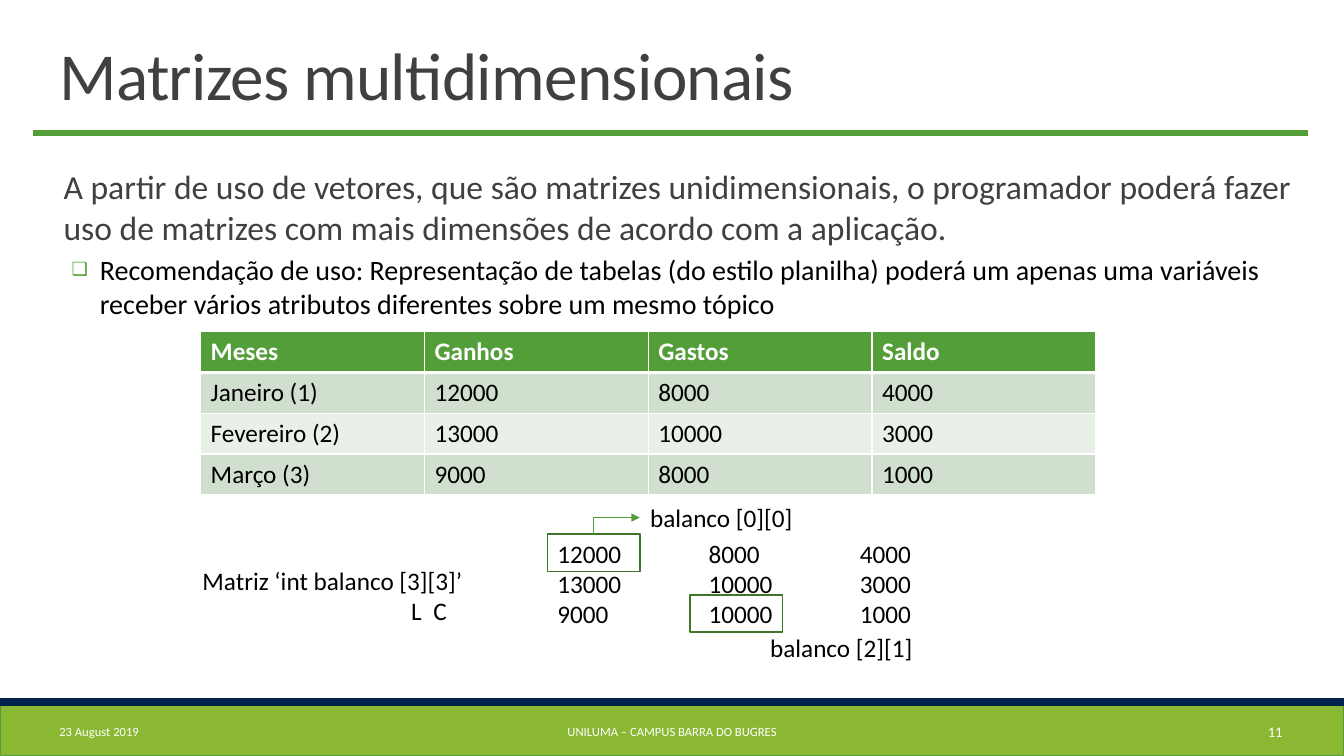
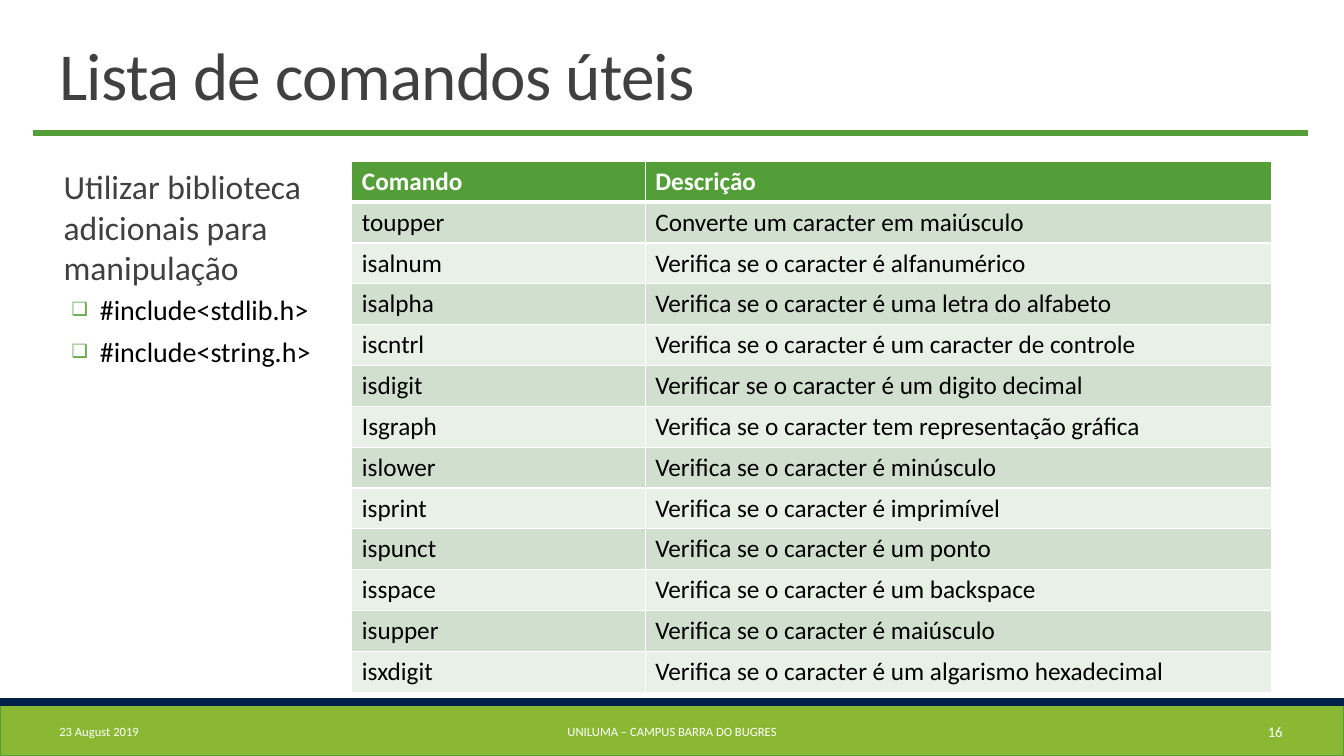
from dataclasses import dataclass
from typing import Any

from lxml import etree
from pptx import Presentation
from pptx import util as u
from pptx.dml import color
from pptx.enum import shapes, text
from pptx.oxml import ns

COLORS = {
    "green": "549E39", "dark_green": "3E752A", "lime": "8AB833", "navy": "00214A",
    "gray": "404040", "black": "000000", "white": "FFFFFF",
    "odd_row": "D1DFCE", "even_row": "E9F0E8",
}
FONT = "Calibri"
LEFT, MIDDLE, RIGHT = text.PP_ALIGN.LEFT, text.PP_ALIGN.CENTER, text.PP_ALIGN.RIGHT


@dataclass(frozen=True)
class Box:
    left: float
    top: float
    width: float
    height: float

    def lengths(self) -> tuple[u.Length, ...]:
        return tuple(u.Inches(v) for v in (self.left, self.top, self.width, self.height))


@dataclass(frozen=True)
class Band:
    box: Box
    fill: str
    line: str


@dataclass(frozen=True)
class Label:
    box: Box
    lines: tuple[str, ...]
    tabs: tuple[float, ...] = ()


@dataclass(frozen=True)
class Footer:
    box: Box
    size: float
    align: Any


@dataclass(frozen=True)
class Grid:
    box: Box
    widths: tuple[float, ...]
    rows: tuple[tuple[str, ...], ...]


@dataclass(frozen=True)
class Page:
    title: str
    intro: str
    items: tuple[str, ...]
    body_width: float
    number: str
    grid: Grid


BANDS = (
    Band(Box(0, 7, 13.33, 0.5), "lime", "green"),
    Band(Box(0, 6.93, 13.33, 0.07), "navy", "navy"),
)
FOOTERS = (
    Footer(Box(0.49, 7.06, 2.7, 0.4), 9, LEFT),
    Footer(Box(4.03, 7.06, 5.27, 0.4), 9, MIDDLE),
    Footer(Box(11.39, 7.06, 1.43, 0.4), 10.5, RIGHT),
)
DATE, CAMPUS = "23 August 2019", "UNILUMA – CAMPUS BARRA DO BUGRES"

MATRIX_PAGE = Page(
    "Matrizes multidimensionais",
    "A partir de uso de vetores, que são matrizes unidimensionais, o programador "
    "poderá fazer uso de matrizes com mais dimensões de acordo com a aplicação.",
    ("Recomendação de uso: Representação de tabelas (do estilo planilha) poderá um apenas "
     "uma variáveis receber vários atributos diferentes sobre um mesmo tópico",),
    12.33, "11",
    Grid(Box(1.99, 3.29, 8.89, 1.62), (2.22,) * 4, (
        ("Meses", "Ganhos", "Gastos", "Saldo"),
        ("Janeiro (1)", "12000", "8000", "4000"),
        ("Fevereiro (2)", "13000", "10000", "3000"),
        ("Março (3)", "9000", "8000", "1000"),
    )),
)
COMMANDS_PAGE = Page(
    "Lista de comandos úteis",
    "Utilizar biblioteca adicionais para manipulação",
    ("#include<stdlib.h>", "#include<string.h>"),
    3, "16",
    Grid(Box(3.49, 1.6, 9.12, 5.27), (2.91, 6.21), (
        ("Comando", "Descrição"),
        ("toupper", "Converte um caracter em maiúsculo"),
        ("isalnum", "Verifica se o caracter é alfanumérico"),
        ("isalpha", "Verifica se o caracter é uma letra do alfabeto"),
        ("iscntrl", "Verifica se o caracter é um caracter de controle"),
        ("isdigit", "Verificar se o caracter é um digito decimal"),
        ("Isgraph", "Verifica se o caracter tem representação gráfica"),
        ("islower", "Verifica se o caracter é minúsculo"),
        ("isprint", "Verifica se o caracter é imprimível"),
        ("ispunct", "Verifica se o caracter é um ponto"),
        ("isspace", "Verifica se o caracter é um backspace"),
        ("isupper", "Verifica se o caracter é maiúsculo"),
        ("isxdigit", "Verifica se o caracter é um algarismo hexadecimal"),
    )),
)

MATRIX_LABELS = (
    Label(Box(5.43, 5.29, 3.8, 1.01),
          ("12000\t8000\t4000", "13000\t10000\t3000", "9000\t10000\t1000"), (1.5, 3)),
    Label(Box(1.91, 5.56, 2.9, 0.71), ("Matriz ‘int balanco [3][3]’", "\tL\tC"), (2.07, 2.29)),
    Label(Box(6.35, 4.93, 1.7, 0.4), ("balanco [0][0]",)),
    Label(Box(7.54, 6.22, 1.7, 0.4), ("balanco [2][1]",)),
)
MATRIX_FRAMES = (Box(5.43, 5.3, 0.92, 0.37), Box(6.84, 5.9, 0.92, 0.37))


# Helpers
def rgb(name: str) -> color.RGBColor:
    return color.RGBColor.from_string(COLORS[name])


def child(parent: Any, tag: str, **attrs: str) -> Any:
    return etree.SubElement(parent, ns.qn(tag), attrs)


def assign(target: Any, values: dict[str, Any]) -> None:
    for name, value in values.items():
        setattr(target, name, value)


def write(p: Any, words: str, size: float, ink: str, bold: bool = False) -> Any:
    r = p.add_run()
    r.text = words
    assign(r.font, {"name": FONT, "size": u.Pt(size), "bold": bold})
    r.font.color.rgb = rgb(ink)
    return r


def add_text(slide: Any, label: Label, size: float = 18, ink: str = "black",
             align: Any = LEFT, anchor: Any = text.MSO_ANCHOR.TOP) -> None:
    tf = slide.shapes.add_textbox(*label.box.lengths()).text_frame
    assign(tf, {"word_wrap": True, "vertical_anchor": anchor})
    for i, line in enumerate(label.lines):
        p = tf.add_paragraph() if i else tf.paragraphs[0]
        p.alignment = align
        if label.tabs:
            stops = child(p._p.get_or_add_pPr(), "a:tabLst")
            for stop in label.tabs:
                child(stops, "a:tab", pos=str(u.Inches(stop)), algn="l")
        write(p, line, size, ink)


def add_rect(slide: Any, box: Box, line: str, fill: str = "") -> None:
    sp = slide.shapes.add_shape(shapes.MSO_SHAPE.RECTANGLE, *box.lengths())
    sp.shadow.inherit = False
    if fill:
        sp.fill.solid()
        sp.fill.fore_color.rgb = rgb(fill)
    else:
        sp.fill.background()
    sp.line.color.rgb = rgb(line)
    sp.line.width = u.Pt(1.25)


def add_line(slide: Any, kind: Any, start: tuple[float, float],
             end: tuple[float, float], width: float) -> Any:
    cxn = slide.shapes.add_connector(kind, *(u.Inches(v) for v in start + end))
    cxn.line.color.rgb = rgb("green")
    cxn.line.width = u.Pt(width)
    child(cxn._element.spPr, "a:effectLst")
    return cxn


# Title and list
def fill_title(slide: Any, words: str) -> None:
    sp = slide.shapes.title
    assign(sp, dict(zip(("left", "top", "width", "height"), Box(0.49, 0.31, 10.39, 0.87).lengths())))
    tf = sp.text_frame
    assign(tf, {"vertical_anchor": text.MSO_ANCHOR.BOTTOM, "word_wrap": True,
                "auto_size": text.MSO_AUTO_SIZE.NONE})
    p = tf.paragraphs[0]
    assign(p, {"alignment": LEFT, "line_spacing": 0.85})
    r = write(p, words, 48, "gray")
    r.font._element.set("spc", "-50")


def fill_body(slide: Any, page: Page) -> None:
    sp = slide.placeholders[1]
    box = Box(0.49, 1.6, page.body_width, 5.07)
    assign(sp, dict(zip(("left", "top", "width", "height"), box.lengths())))
    tf = sp.text_frame
    assign(tf, {"margin_left": 0, "margin_right": 0, "word_wrap": True,
                "auto_size": text.MSO_AUTO_SIZE.NONE})
    p = tf.paragraphs[0]
    assign(p, {"space_before": u.Pt(12), "space_after": u.Pt(2)})
    pPr = p._p.get_or_add_pPr()
    assign_indent(pPr, 0.14, 0)
    child(pPr, "a:buNone")
    write(p, page.intro, 24, "gray")
    for item in page.items:
        p = tf.add_paragraph()
        assign(p, {"level": 1, "space_before": u.Pt(2), "space_after": u.Pt(4)})
        pPr = p._p.get_or_add_pPr()
        assign_indent(pPr, 0.5, -0.28)
        child(child(pPr, "a:buClr"), "a:srgbClr", val=COLORS["green"])
        child(pPr, "a:buSzPct", val="65000")
        child(pPr, "a:buFont", typeface=FONT)
        child(pPr, "a:buChar", char="❑")
        write(p, item, 20, "black")


def assign_indent(pPr: Any, margin: float, first: float) -> None:
    pPr.set("marL", str(u.Inches(margin)))
    pPr.set("indent", str(u.Inches(first)))


# Tables
def add_borders(cell: Any, row: int) -> None:
    tcPr = cell._tc.get_or_add_tcPr()
    widths = {"L": 1, "R": 1, "T": 3 if row == 1 else 1, "B": 1 if row else 3}
    for i, (side, width) in enumerate(widths.items()):
        ln = child(tcPr, f"a:ln{side}", w=str(u.Pt(width)))
        child(child(ln, "a:solidFill"), "a:srgbClr", val=COLORS["white"])
        tcPr.insert(i, ln)


def add_grid(slide: Any, grid: Grid) -> None:
    count = len(grid.rows)
    table = slide.shapes.add_table(count, len(grid.widths), *grid.box.lengths()).table
    for column, width in zip(table.columns, grid.widths):
        column.width = u.Inches(width)
    for i, values in enumerate(grid.rows):
        table.rows[i].height = u.Inches(grid.box.height / count)
        fill = ("odd_row" if i % 2 else "even_row") if i else "green"
        for j, value in enumerate(values):
            cell = table.cell(i, j)
            cell.fill.solid()
            cell.fill.fore_color.rgb = rgb(fill)
            add_borders(cell, i)
            write(cell.text_frame.paragraphs[0], value, 18, "black" if i else "white", not i)


# Slides
def add_page(prs: Any, page: Page) -> Any:
    slide = prs.slides.add_slide(prs.slide_layouts[1])
    for band in BANDS:
        add_rect(slide, band.box, band.line, band.fill)
    add_line(slide, shapes.MSO_CONNECTOR.STRAIGHT, (0.33, 1.32), (12.97, 1.32), 4.5)
    fill_title(slide, page.title)
    fill_body(slide, page)
    for footer, words in zip(FOOTERS, (DATE, CAMPUS, page.number)):
        add_text(slide, Label(footer.box, (words,)), footer.size, "white",
                 footer.align, text.MSO_ANCHOR.MIDDLE)
    add_grid(slide, page.grid)
    return slide


def add_matrix(slide: Any) -> None:
    for label in MATRIX_LABELS:
        add_text(slide, label)
    for frame in MATRIX_FRAMES:
        add_rect(slide, frame, "dark_green")
    # One-bend arrow: up from the first frame, then right to its label
    arrow = add_line(slide, shapes.MSO_CONNECTOR.ELBOW, (6.2, 5.45), (6.03, 4.99), 1)
    spPr = arrow._element.spPr
    spPr.find(ns.qn("a:prstGeom")).set("prst", "bentConnector2")
    spPr.find(ns.qn("a:xfrm")).set("rot", str(90 * 60000))
    child(spPr.find(ns.qn("a:ln")), "a:tailEnd", type="triangle")


def main() -> None:
    prs = Presentation()
    assign(prs, {"slide_width": u.Inches(13.33), "slide_height": u.Inches(7.5)})
    add_matrix(add_page(prs, MATRIX_PAGE))
    add_page(prs, COMMANDS_PAGE)
    prs.save("out.pptx")


if __name__ == "__main__":
    main()
